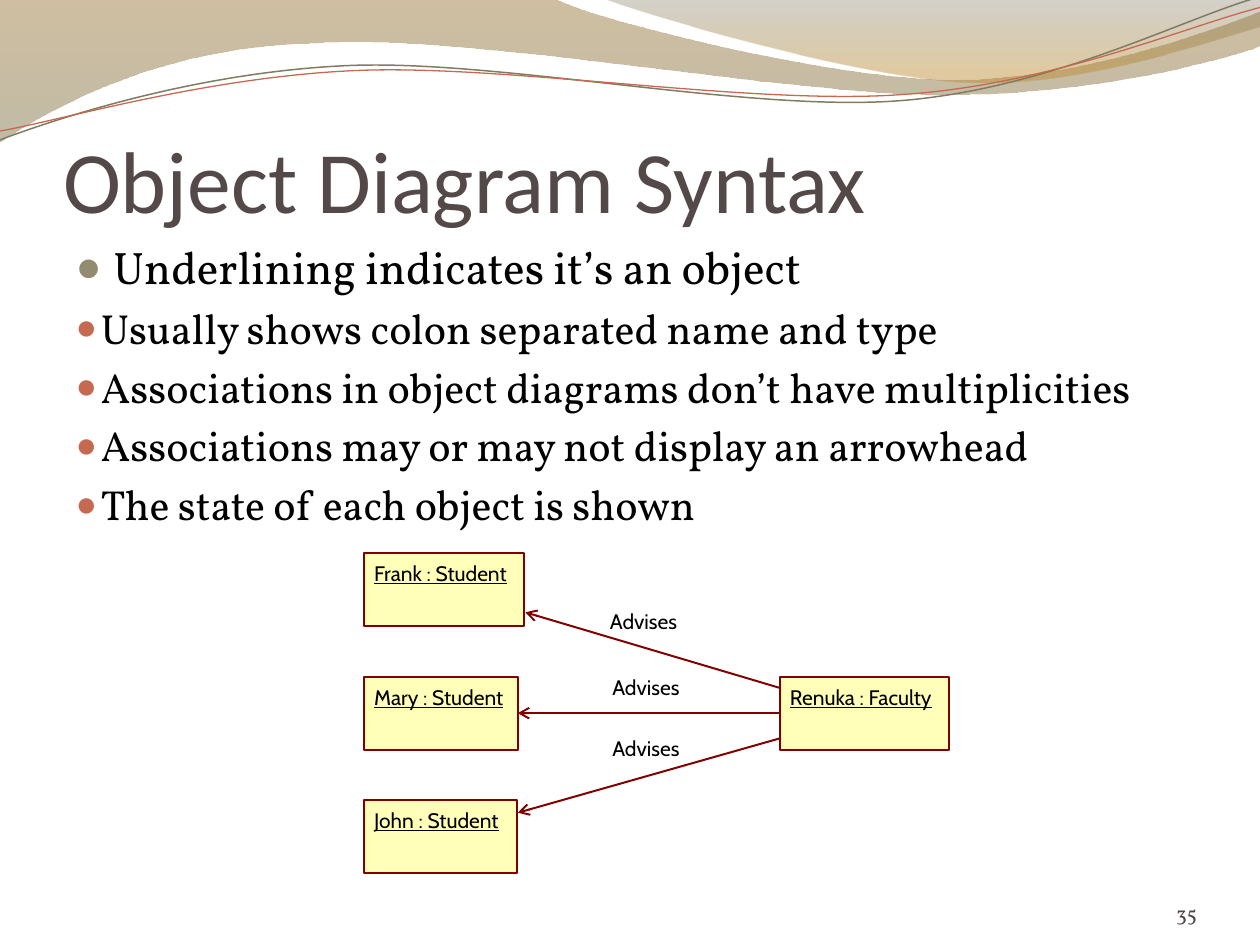
from dataclasses import dataclass
from math import cos, radians, sin

from lxml import etree
from pptx import Presentation
from pptx.dml.color import RGBColor
from pptx.enum.shapes import MSO_CONNECTOR, MSO_SHAPE
from pptx.enum.text import MSO_ANCHOR, MSO_AUTO_SIZE, PP_ALIGN
from pptx.oxml.ns import qn
from pptx.util import Inches, Pt

RECTANGLE = MSO_SHAPE.RECTANGLE
STRAIGHT = MSO_CONNECTOR.STRAIGHT
BOTTOM = MSO_ANCHOR.BOTTOM
LEFT, RIGHT = PP_ALIGN.LEFT, PP_ALIGN.RIGHT
FIT_SHAPE, NO_FIT = MSO_AUTO_SIZE.SHAPE_TO_FIT_TEXT, MSO_AUTO_SIZE.NONE

BLACK = RGBColor(0x00, 0x00, 0x00)
TITLE_COLOR = RGBColor(0x53, 0x49, 0x49)
NUMBER_COLOR = RGBColor(0x4F, 0x46, 0x46)
OLIVE = RGBColor(0x92, 0x8B, 0x70)
RUST = RGBColor(0xC6, 0x69, 0x51)
WAVE_GRAY = RGBColor(0x81, 0x7B, 0x63)
BROWN = RGBColor(0x96, 0x72, 0x31)
TAUPE = RGBColor(0x8D, 0x83, 0x5D)
DARK_TAUPE = RGBColor(0x70, 0x69, 0x4F)
GOLD = RGBColor(0xBD, 0x8B, 0x30)
CREAM = RGBColor(0xFF, 0xFF, 0xB9)
MAROON = RGBColor(0x80, 0x00, 0x00)

WAVE_TILT = -2.7
BOX_HEIGHT = 0.58
ROW_TOPS = [4.39 + 0.98 * row for row in range(3)]


@dataclass
class GradientStop:
    position: int
    color: RGBColor
    opacity: int


@dataclass
class Bullet:
    text: str
    size: int = 24
    margin: float = 0.2
    indent: float = -0.27
    color: RGBColor = RUST
    scale: int = 85


@dataclass
class ObjectBox:
    name: str
    left: float
    top: float
    width: float
    label_width: float
    label_height: float = 0.28


@dataclass
class Association:
    start: tuple
    end: tuple
    label_at: tuple


# Each wave starts at a point, then has one-point lines and three-point curves
BAND = [(0, 0), ((4.4, -0.01),),
        ((4.76, 0.17), (6.64, 0.63), (7.58, 0.63)),
        ((8.53, 0.63), (9.58, 0.26), (10, 0.09)), ((10.01, 0.36),),
        ((9.83, 0.44), (8.7, 0.76), (7.46, 0.75)),
        ((6.22, 0.75), (3.82, 0.28), (2.57, 0.34)),
        ((1.29, 0.36), (0.46, 0.83), (-0.01, 1.13))]
CORNER = [(4.79, -0.01), ((5.09, 0.11), (6.82, 0.62), (7.69, 0.65)),
          ((8.56, 0.69), (9.61, 0.32), (10, 0.21)), ((10, 0),)]
GRAY_WAVE = [(0, 1.11), ((0.48, 0.93), (1.58, 0.57), (2.77, 0.52)),
             ((3.95, 0.47), (5.93, 0.89), (7.13, 0.8)),
             ((8.33, 0.71), (9.38, 0.15), (9.98, -0.02))]
RUST_WAVE = [(0, 1.04), ((0.47, 0.96), (1.64, 0.61), (2.83, 0.56)),
             ((4.03, 0.51), (5.97, 0.84), (7.17, 0.75)),
             ((8.36, 0.67), (9.41, 0.21), (10, 0.06))]

BULLETS = [
    Bullet("Underlining indicates it’s an object", 26, 0.3, -0.3, OLIVE, 95),
    Bullet("Usually shows colon separated name and type"),
    Bullet("Associations in object diagrams don’t have multiplicities"),
    Bullet("Associations may or may not display an arrowhead"),
    Bullet("The state of each object is shown"),
]
FRANK = ObjectBox("Frank : Student", 2.89, ROW_TOPS[0], 1.27, 1.34)
MARY = ObjectBox("Mary : Student", 2.89, ROW_TOPS[1], 1.22, 1.28)
JOHN = ObjectBox("John : Student", 2.89, ROW_TOPS[2], 1.21, 1.27)
RENUKA = ObjectBox("Renuka : Faculty", 6.19, ROW_TOPS[1], 1.34, 1.23, 0.2)
TO_FRANK = Association((4.17, 4.86), (6.19, 5.46), (4.84, 4.83))
TO_MARY = Association((4.12, 5.66), (6.19, 5.66), (4.86, 5.35))
TO_JOHN = Association((4.11, 6.45), (6.19, 5.86), (4.86, 5.84))


def add_element(parent, tag: str, **attributes):
    return etree.SubElement(parent, qn(tag), {key: str(value) for key, value in attributes.items()})


def format_run(paragraph, font: str, size: float, color: RGBColor, underline=None) -> None:
    for run in paragraph.runs:
        run.font.name, run.font.size = font, Pt(size)
        run.font.color.rgb, run.font.underline = color, underline


def turn(point: tuple, center: tuple, degrees: float) -> tuple:
    angle, x, y = radians(degrees), point[0] - center[0], point[1] - center[1]
    return (center[0] + x * cos(angle) - y * sin(angle),
            center[1] + x * sin(angle) + y * cos(angle))


def add_wave(shapes, outline: list, closed: bool, center: tuple = (0, 0), tilt: float = 0):
    """Draw the outline level, turn its three-point groups into curves, then tilt it."""
    points = [outline[0]] + [point for segment in outline[1:] for point in segment]
    corners = [tuple(Inches(value) for value in turn(point, center, -tilt)) for point in points]
    builder = shapes.build_freeform(*corners[0])
    builder.add_line_segments(corners[1:], close=closed)
    shape = builder.convert_to_shape()
    shape.shadow.inherit = False
    lines = iter(list(shape._element.iter(qn("a:lnTo"))))
    for segment in outline[1:]:
        group = [next(lines) for _ in segment]
        if len(group) == 3:
            curve = etree.Element(qn("a:cubicBezTo"))
            group[0].addprevious(curve)
            for line in group:
                curve.append(line[0])
                line.getparent().remove(line)
    shape.rotation = tilt
    return shape


def add_filled_wave(shapes, outline: list, stops: list) -> None:
    shape = add_wave(shapes, outline, True)
    shape.line.fill.background()
    gradient = etree.Element(qn("a:gradFill"), rotWithShape="1")
    stop_list = add_element(gradient, "a:gsLst")
    for stop in stops:
        node = add_element(stop_list, "a:gs", pos=stop.position * 1000)
        color = add_element(node, "a:srgbClr", val=stop.color)
        add_element(color, "a:alpha", val=stop.opacity * 1000)
    add_element(gradient, "a:lin", ang=90 * 60000, scaled=0)
    shape._element.spPr.find(qn("a:custGeom")).addnext(gradient)


def add_line_wave(shapes, outline: list, center: tuple, color: RGBColor, width: float) -> None:
    shape = add_wave(shapes, outline, False, center, WAVE_TILT)
    shape.fill.background()
    shape.line.color.rgb, shape.line.width = color, Pt(width)


def add_text_frame(shapes, text: str, left: float, top: float, width: float, height: float):
    box = shapes.add_textbox(Inches(left), Inches(top), Inches(width), Inches(height))
    frame = box.text_frame
    frame.margin_left = frame.margin_right = frame.margin_top = frame.margin_bottom = 0
    frame.text = text
    return frame


def add_label(shapes, text: str, left: float, top: float, width: float,
              height: float = 0.2, underline=None) -> None:
    frame = add_text_frame(shapes, text, left, top, width, height)
    frame.word_wrap, frame.auto_size = False, FIT_SHAPE
    format_run(frame.paragraphs[0], "Cabin", 12, BLACK, underline)


def add_object(shapes, box: ObjectBox):
    shape = shapes.add_shape(RECTANGLE, Inches(box.left), Inches(box.top),
                             Inches(box.width), Inches(BOX_HEIGHT))
    shape.shadow.inherit = False
    shape.fill.solid()
    shape.fill.fore_color.rgb = CREAM
    shape.line.color.rgb, shape.line.width = MAROON, Pt(1.13)
    add_label(shapes, box.name, box.left + 0.08, box.top + 0.06,
              box.label_width, box.label_height, True)
    return shape


def add_association(shapes, association: Association):
    connector = shapes.add_connector(
        STRAIGHT, *(Inches(value) for value in association.start + association.end))
    connector.line.color.rgb, connector.line.width = MAROON, Pt(1.13)
    add_element(connector.line._get_or_add_ln(), "a:headEnd", type="arrow")
    add_element(connector._element.spPr, "a:effectLst")
    add_label(shapes, "Advises", *association.label_at, 0.56)
    return connector


def place(shape, left: float, top: float, width: float, height: float) -> None:
    shape.left, shape.top = Inches(left), Inches(top)
    shape.width, shape.height = Inches(width), Inches(height)


def fill_title(title) -> None:
    place(title, 0.5, 0.58, 9, 1.25)
    frame = title.text_frame
    frame.text = "Object Diagram Syntax"
    frame.margin_left = frame.margin_right = frame.margin_bottom = 0
    frame.vertical_anchor, frame.auto_size = BOTTOM, NO_FIT
    frame.paragraphs[0].alignment = LEFT
    format_run(frame.paragraphs[0], "Calibri", 50, TITLE_COLOR)


def fill_bullets(body) -> None:
    place(body, 0.5, 1.85, 9, 4.8)
    frame = body.text_frame
    frame.text = "\n".join(bullet.text for bullet in BULLETS)
    frame.auto_size = NO_FIT
    for paragraph, bullet in zip(frame.paragraphs, BULLETS):
        format_run(paragraph, "Vollkorn", bullet.size, BLACK)
        properties = paragraph._p.get_or_add_pPr()
        properties.set("marL", str(Inches(bullet.margin)))
        properties.set("indent", str(Inches(bullet.indent)))
        add_element(add_element(properties, "a:buClr"), "a:srgbClr", val=bullet.color)
        add_element(properties, "a:buSzPct", val=bullet.scale * 1000)
        add_element(properties, "a:buChar", char="●")


def main() -> None:
    presentation = Presentation()
    presentation.slide_width, presentation.slide_height = Inches(10), Inches(7.5)
    slide = presentation.slides.add_slide(presentation.slide_layouts[1])
    # Wave decoration
    add_filled_wave(slide.shapes, BAND, [GradientStop(0, BROWN, 45), GradientStop(100, TAUPE, 55)])
    add_filled_wave(slide.shapes, CORNER, [GradientStop(0, DARK_TAUPE, 30), GradientStop(80, GOLD, 45)])
    waves = slide.shapes.add_group_shape().shapes
    add_line_wave(waves, GRAY_WAVE, (4.99, 0.58), WAVE_GRAY, 0.85)
    add_line_wave(waves, RUST_WAVE, (5, 0.59), RUST, 0.75)
    # Title, bullets and slide number
    fill_title(slide.shapes.title)
    fill_bullets(slide.placeholders[1])
    number = add_text_frame(slide.shapes, "35", 8.67, 6.95, 0.83, 0.4)
    number.word_wrap, number.vertical_anchor = True, BOTTOM
    number.paragraphs[0].alignment = RIGHT
    format_run(number.paragraphs[0], "Vollkorn", 12, NUMBER_COLOR)
    # Object diagram
    diagram = slide.shapes.add_group_shape().shapes
    _, mary, _, renuka = [add_object(diagram, box) for box in (FRANK, MARY, JOHN, RENUKA)]
    _, middle, _ = [add_association(diagram, link) for link in (TO_FRANK, TO_MARY, TO_JOHN)]
    middle.begin_connect(mary, 3)
    middle.end_connect(renuka, 1)
    presentation.save("out.pptx")


if __name__ == "__main__":
    main()
